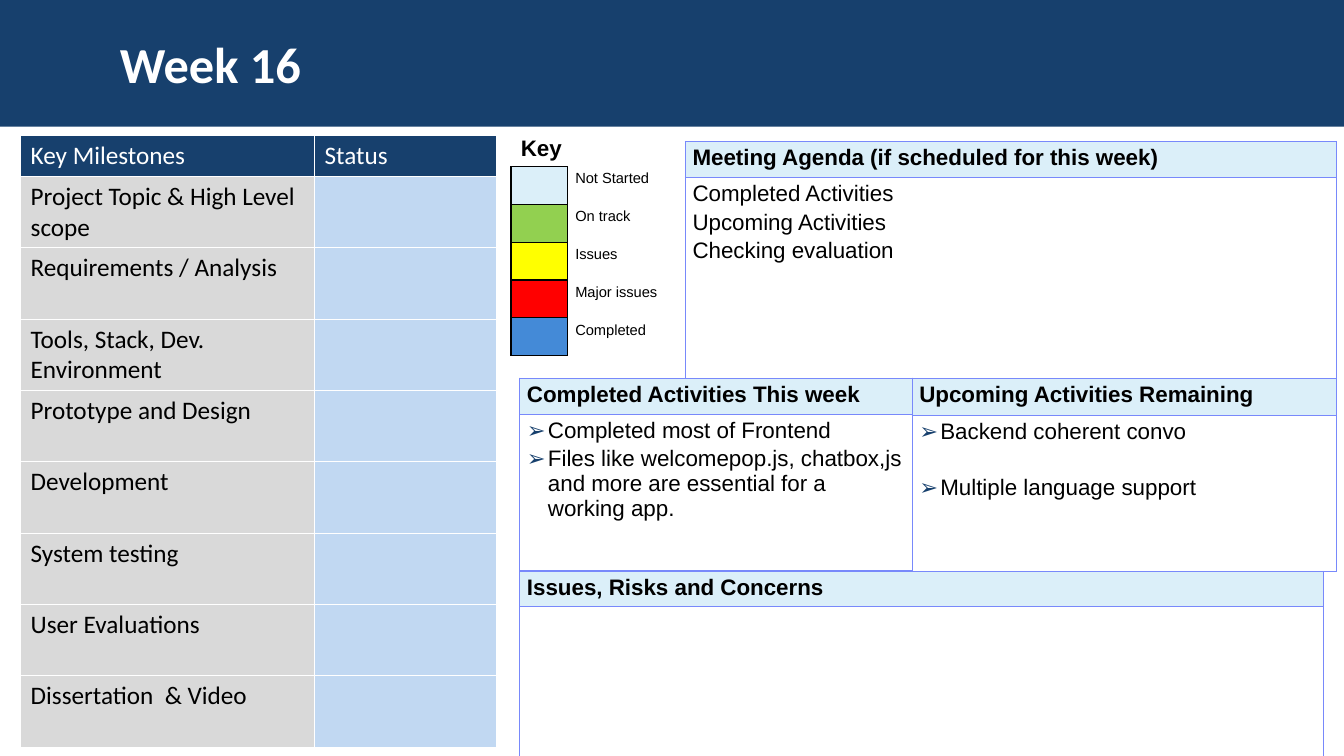
from dataclasses import dataclass
from lxml.etree import SubElement as Sub
from pptx import Presentation
from pptx.dml.color import RGBColor as Rgb
from pptx.enum.shapes import MSO_SHAPE as Kind
from pptx.enum.text import MSO_ANCHOR as Anchor
from pptx.oxml.ns import qn
from pptx.util import Pt


@dataclass(frozen=True)
class Theme:
    """Hold the colours, fonts and type sizes of the slide."""
    navy: str = "17406D"
    white: str = "FFFFFF"
    black: str = "000000"
    grey: str = "D9D9D9"
    sky: str = "C1D8F2"
    pale: str = "DBEFF9"
    edge: str = "7889FB"
    serif: str = "Calibri"
    sans: str = "Arial"
    title: float = 36
    grid: float = 18
    body: float = 16
    small: float = 10.5


T = Theme()
STEPS = ["Project Topic & High Level scope", "Requirements / Analysis",
         "Tools, Stack, Dev. Environment", "Prototype and Design",
         "Development", "System testing", "User Evaluations",
         "Dissertation  & Video"]
STATES = [("Not Started", T.pale), ("On track", "92D050"),
          ("Issues", "FFFF00"), ("Major issues", "FF0000"),
          ("Completed", "448AD7")]


def style(para, font, size, hue, bold=False):
    """Format every run of a paragraph."""
    for run in para.runs:
        face = run.font
        face.name, face.size, face.bold = font, Pt(size), bold
        face.color.rgb = Rgb.from_string(hue)


def label(slide, box, text, font, size, hue):
    """Place one bold line of text in a box."""
    frame = slide.shapes.add_textbox(*map(Pt, box)).text_frame
    frame.word_wrap = True
    frame.vertical_anchor = Anchor.MIDDLE
    frame.text = text
    style(frame.paragraphs[0], font, size, hue, True)


def grid(slide, x, y, cols, rows):
    """Add a plain table with the given column widths and row heights."""
    table = slide.shapes.add_table(len(rows), len(cols), Pt(x), Pt(y),
                                   Pt(sum(cols)), Pt(sum(rows))).table
    table.first_row = table.horz_banding = False
    for col, wide in zip(table.columns, cols):
        col.width = Pt(wide)
    for row, high in zip(table.rows, rows):
        row.height = Pt(high)
    return table


def paint(cell, fill, line, wide, sides="LRTB"):
    """Set the borders and the fill of a cell."""
    props = cell._tc.get_or_add_tcPr()
    for side in "LRTB":
        edge = Sub(props, qn("a:ln" + side), w=str(Pt(wide)))
        if side in sides:
            solid = Sub(edge, qn("a:solidFill"))
            Sub(solid, qn("a:srgbClr"), val=line)
        else:
            Sub(edge, qn("a:noFill"))
    if fill:
        cell.fill.solid()
        cell.fill.fore_color.rgb = Rgb.from_string(fill)
    else:
        cell.fill.background()


def inset(cell, side, top):
    """Set the margins of a cell."""
    cell.margin_left = cell.margin_right = Pt(side)
    cell.margin_top = cell.margin_bottom = Pt(top)


def bullet(para):
    """Give a paragraph an arrow bullet with a hanging indent."""
    props = para._p.get_or_add_pPr()
    props.set("marL", str(Pt(15)))
    props.set("indent", str(Pt(-15)))
    Sub(Sub(props, qn("a:buClr")), qn("a:srgbClr"), val=T.navy)
    Sub(props, qn("a:buFont"), typeface=T.sans)
    Sub(props, qn("a:buChar"), char="➢")


def banner(slide, x, y, w, h):
    """Draw the title band."""
    band = slide.shapes.add_shape(Kind.RECTANGLE, *map(Pt, (x, y, w, h)))
    band.shadow.inherit = False
    band.fill.solid()
    band.fill.fore_color.rgb = Rgb.from_string(T.navy)
    band.line.fill.background()
    label(slide, (x + 78.5, y + 15, w - 171, 60), "Week 16",
          T.serif, T.title, T.white)


def plan(slide, x, y, w, h):
    """Draw the milestone table."""
    head, left = 29.2, 210
    high = (h - head) / len(STEPS)
    table = grid(slide, x, y, [left, w - left], [head] + [high] * len(STEPS))
    rows = [("Key Milestones", "Status")] + [(step, "") for step in STEPS]
    for r, texts in enumerate(rows):
        fills = (T.grey, T.sky) if r else (T.navy, T.navy)
        for c, text in enumerate(texts):
            cell = table.cell(r, c)
            paint(cell, fills[c], T.white, 1)
            cell.text_frame.text = text
            style(cell.text_frame.paragraphs[0], T.serif, T.grid,
                  T.black if r else T.white)


def legend(slide, x, y, w, h):
    """Draw the colour key with its heading."""
    head, chip = 27, 40.5
    high = (h - head) / len(STATES)
    table = grid(slide, x, y + head, [chip, w - chip], [high] * len(STATES))
    for r, (text, hue) in enumerate(STATES):
        swatch, name = table.cell(r, 0), table.cell(r, 1)
        inset(swatch, 0, 0)
        paint(swatch, hue, T.black, 1)
        inset(name, 5.5, 2.9)
        paint(name, None, T.black, 1, "L")
        name.text_frame.text = text
        style(name.text_frame.paragraphs[0], T.sans, T.small, T.black)
    label(slide, (x, y, 108, head), "Key", T.sans, T.body, T.black)


def panel(slide, x, y, w, h, title, items=(), head=26, marks=False, gap=0):
    """Draw a headed panel with a list of items."""
    table = grid(slide, x, y, [w], [head, h - head])
    for r, lines in enumerate(([title], items)):
        cell = table.cell(r, 0)
        inset(cell, 5.2, 2.9)
        paint(cell, None if r else T.pale, T.edge, 0.71)
        cell.text_frame.text = "\n".join(lines)
        for n, para in enumerate(cell.text_frame.paragraphs):
            if marks and r:
                bullet(para)
            para.space_after = Pt(2.4)
            if n and gap:
                para.space_before = Pt(gap)
            style(para, T.sans, T.body, T.black, not r)


def main():
    """Build the weekly status slide."""
    deck = Presentation()
    deck.slide_width, deck.slide_height = Pt(960), Pt(540)
    slide = deck.slides.add_slide(deck.slide_layouts[6])
    banner(slide, 0, 0, 960, 90.5)
    plan(slide, 14.7, 96.8, 340, 437)
    legend(slide, 365, 92, 141, 162)
    panel(slide, 371.2, 270, 280.3, 137.5, "Completed Activities This week",
          ["Completed most of Frontend",
           "Files like welcomepop.js, chatbox,js and more are essential "
           "for a working app."], marks=True)
    panel(slide, 489.5, 101, 465, 169,
          "Meeting Agenda (if scheduled for this week)",
          ["Completed Activities", "Upcoming Activities",
           "Checking evaluation"])
    panel(slide, 371.2, 408, 574, 133, "Issues, Risks and Concerns", head=24)
    panel(slide, 651.5, 270, 303, 138, "Upcoming Activities Remaining",
          ["Backend coherent convo", "Multiple language support"],
          head=26.5, marks=True, gap=20)
    deck.save("out.pptx")


if __name__ == "__main__":
    main()
